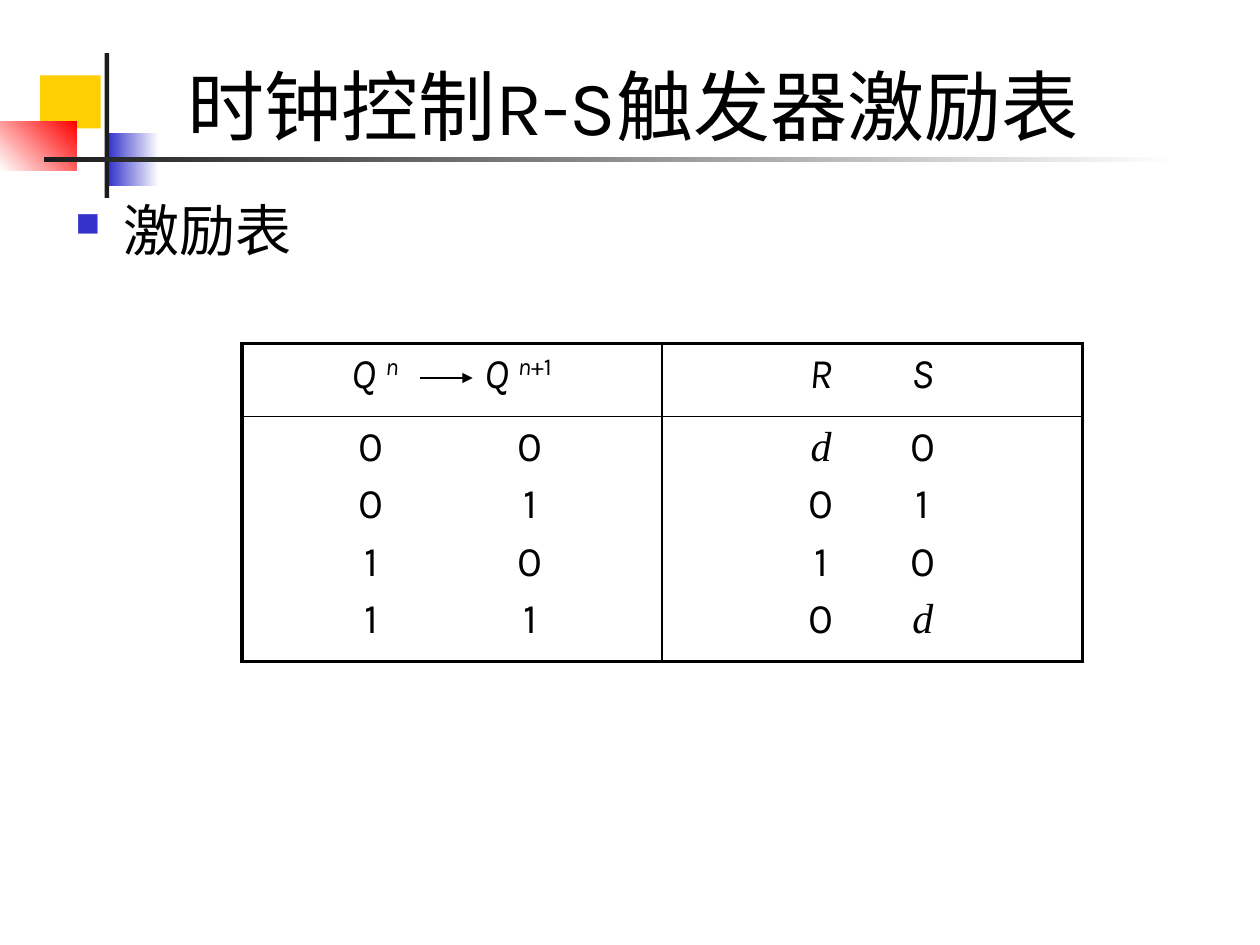
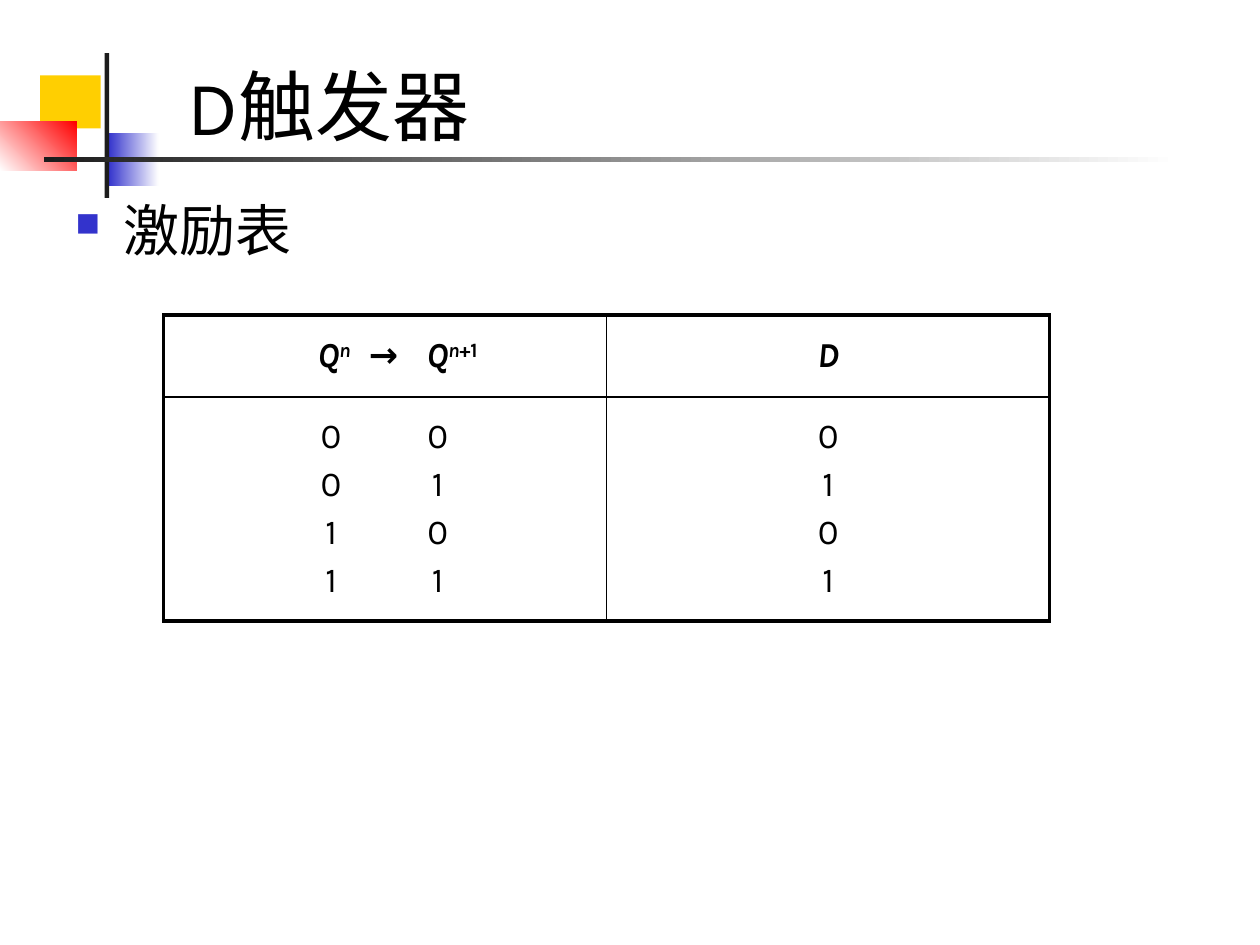
import lxml.etree
import pptx
import pptx.dml.color
import pptx.enum.shapes
import pptx.enum.text
import pptx.oxml.ns
import pptx.util

Cm = pptx.util.Cm
Pt = pptx.util.Pt
ALIGN = pptx.enum.text.PP_ALIGN
ANCHOR = pptx.enum.text.MSO_ANCHOR

ITALIC = {"italic": True}
RAISED = {"italic": True, "raised": True}
VARIABLE = {"italic": True, "font": "Times New Roman"}


def color(value):
    return pptx.dml.color.RGBColor.from_string(value)


def child(parent, tag, **attributes):
    element = lxml.etree.SubElement(parent, pptx.oxml.ns.qn(tag))
    for name, value in attributes.items():
        element.set(name, str(value))
    return element


def write(paragraph, text, size=24, font="Karla", bold=False, italic=False,
          raised=False, ink="000000"):
    run = paragraph.add_run()
    run.text = text
    run.font.size = Pt(size)
    run.font.name = font
    run.font.bold = bold
    run.font.italic = italic
    run.font.color.rgb = color(ink)
    properties = run.font._element
    child(properties, "a:ea", typeface=font)
    if raised:
        properties.set("baseline", "30000")


def tabbed(*values):
    return [("".join(f"\t{value}" for value in values), {})]


class Deck:
    """Holds the shared style and the current slide of the lecture."""

    yellow, red, blue, dark, white, ink = (
        "FFCF01", "FF0000", "3333CC", "1C1C1C", "FFFFFF", "000000")
    outer, inner = 2.25, 1

    def __init__(self):
        self.presentation = pptx.Presentation()
        self.presentation.slide_width = Cm(25.4)
        self.presentation.slide_height = Cm(19.05)
        self.slide = None

    def start(self, title, bullet):
        self.slide = self.presentation.slides.add_slide(
            self.presentation.slide_layouts[6])
        self.block(0.81, 1.52, 1.22, 1.07, [self.yellow])
        self.block(2.18, 2.69, 1.02, 1.07, [self.blue, self.white])
        self.block(0, 2.46, 1.55, 0.97, [self.white, self.red], angle=45)
        self.block(2.11, 1.07, 0.09, 2.92, [self.dark])
        self.block(0.89, 3.17, 22.86, 0.09, [self.dark, self.white])
        self.bullet(bullet)
        heading = self.box(3.53, 1.47, 21.64, 1.7, ANCHOR.BOTTOM)
        write(heading, title, size=44)

    def block(self, left, top, width, height, fills, angle=0):
        block = self.slide.shapes.add_shape(
            pptx.enum.shapes.MSO_SHAPE.RECTANGLE,
            Cm(left), Cm(top), Cm(width), Cm(height))
        block.shadow.inherit = False
        block.line.fill.background()
        if len(fills) == 1:
            block.fill.solid()
            block.fill.fore_color.rgb = color(fills[0])
            return
        block.fill.gradient()
        block.fill.gradient_angle = angle
        for stop, fill in zip(block.fill.gradient_stops, fills):
            stop.color.rgb = color(fill)

    def box(self, left, top, width, height, anchor=ANCHOR.TOP):
        frame = self.slide.shapes.add_textbox(
            Cm(left), Cm(top), Cm(width), Cm(height)).text_frame
        frame.word_wrap = True
        frame.vertical_anchor = anchor
        return frame.paragraphs[0]

    def bullet(self, text):
        paragraph = self.box(1.27, 3.81, 23.29, 13.54)
        properties = paragraph._p.get_or_add_pPr()
        properties.set("marL", str(Cm(0.97)))
        properties.set("indent", str(-Cm(0.97)))
        child(child(properties, "a:buClr"), "a:srgbClr", val=self.blue)
        child(properties, "a:buSzPct", val=60000)
        child(properties, "a:buChar", char="■")
        write(paragraph, text, size=32)

    def arrow(self, left, right, level):
        arrow = self.slide.shapes.add_connector(
            pptx.enum.shapes.MSO_CONNECTOR.STRAIGHT,
            Cm(left), Cm(level), Cm(right), Cm(level))
        arrow.line.color.rgb = color(self.ink)
        arrow.line.width = Pt(0.75)
        child(arrow.line._get_or_add_ln(), "a:tailEnd", type="triangle")
        child(arrow._element.spPr, "a:effectLst")

    def table(self, left, top, column, heights, cells, size, anchor):
        table = self.slide.shapes.add_table(
            2, 2, Cm(left), Cm(top), Cm(2 * column), Cm(sum(heights))).table
        for index, height in enumerate(heights):
            table.columns[index].width = Cm(column)
            table.rows[index].height = Cm(height)
        for row, pair in enumerate(cells):
            for col, (stops, lines) in enumerate(pair):
                cell = table.cell(row, col)
                cell.vertical_anchor = anchor
                self.borders(cell, row, col)
                cell.fill.background()
                self.fill_cell(cell.text_frame, stops, lines, size)

    def borders(self, cell, row, col):
        properties = cell._tc.get_or_add_tcPr()
        outside = {"L": col == 0, "R": col == 1, "T": row == 0, "B": row == 1}
        for side, is_outer in outside.items():
            width = Pt(self.outer if is_outer else self.inner)
            line = child(properties, f"a:ln{side}", w=int(width))
            child(child(line, "a:solidFill"), "a:srgbClr", val=self.ink)

    def fill_cell(self, frame, stops, lines, size):
        for index, line in enumerate(lines):
            paragraph = frame.add_paragraph() if index else frame.paragraphs[0]
            paragraph.alignment = ALIGN.LEFT if stops else ALIGN.CENTER
            if stops:
                tabs = child(paragraph._p.get_or_add_pPr(), "a:tabLst")
                for stop in stops:
                    child(tabs, "a:tab", pos=int(Cm(stop)), algn="ctr")
            if index:
                paragraph.space_before = Pt(0.2 * size)
            for text, style in line:
                write(paragraph, text, size=size, **style)


def main():
    deck = Deck()
    transitions = [tabbed(0, 0), tabbed(0, 1), tabbed(1, 0), tabbed(1, 1)]

    deck.start("时钟控制R-S触发器激励表", "激励表")
    states = [("\tQ ", ITALIC), ("n", RAISED), ("\tQ ", ITALIC),
              ("n", RAISED), ("+1", {"raised": True})]
    inputs = [
        [("\t", {}), ("d", VARIABLE), ("\t0", {})],
        tabbed(0, 1),
        tabbed(1, 0),
        [("\t0\t", {}), ("d", VARIABLE)],
    ]
    input_stops = (2.95, 5)
    deck.table(4.88, 6.93, 8.47, (1.47, 4.93), [
        [((2.43, 5.31), [states]), (input_stops, [[("\tR\tS", ITALIC)]])],
        [((2.35, 5.55), transitions), (input_stops, inputs)],
    ], size=24, anchor=ANCHOR.TOP)
    deck.arrow(8.46, 9.53, 7.62)

    deck.start("D触发器", "激励表")
    strong = {"bold": True, "italic": True}
    strong_raised = {**strong, "raised": True}
    states = [("\tQ", strong), ("n", strong_raised), ("\t→\tQ", strong),
              ("n", strong_raised), ("+1", {"bold": True, "raised": True})]
    next_values = [[(str(value), {})] for value in (0, 1, 0, 1)]
    deck.table(3.3, 6.35, 8.93, (1.65, 4.52), [
        [((3.18, 4.18, 5.56), [states]), ((), [[("D", strong)]])],
        [((3.12, 5.27), transitions), ((), next_values)],
    ], size=20, anchor=ANCHOR.MIDDLE)

    deck.presentation.save("out.pptx")


if __name__ == "__main__":
    main()
